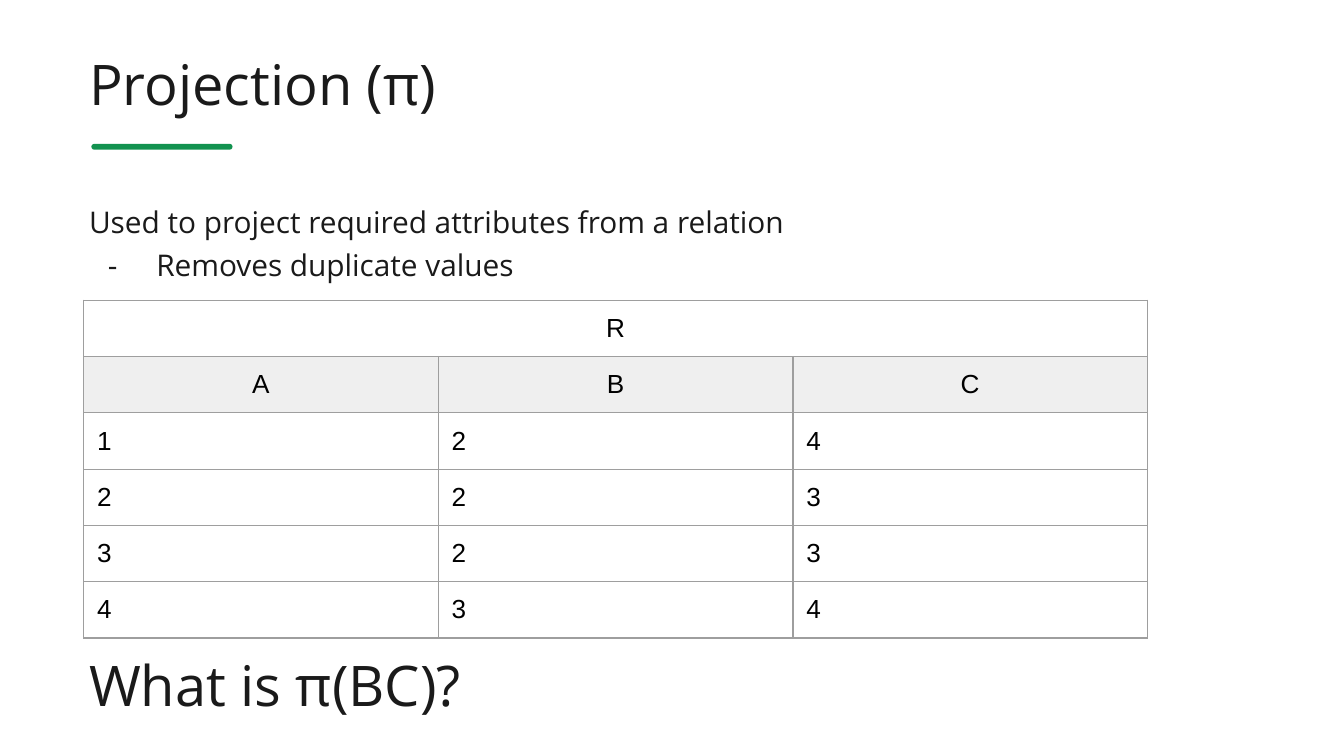
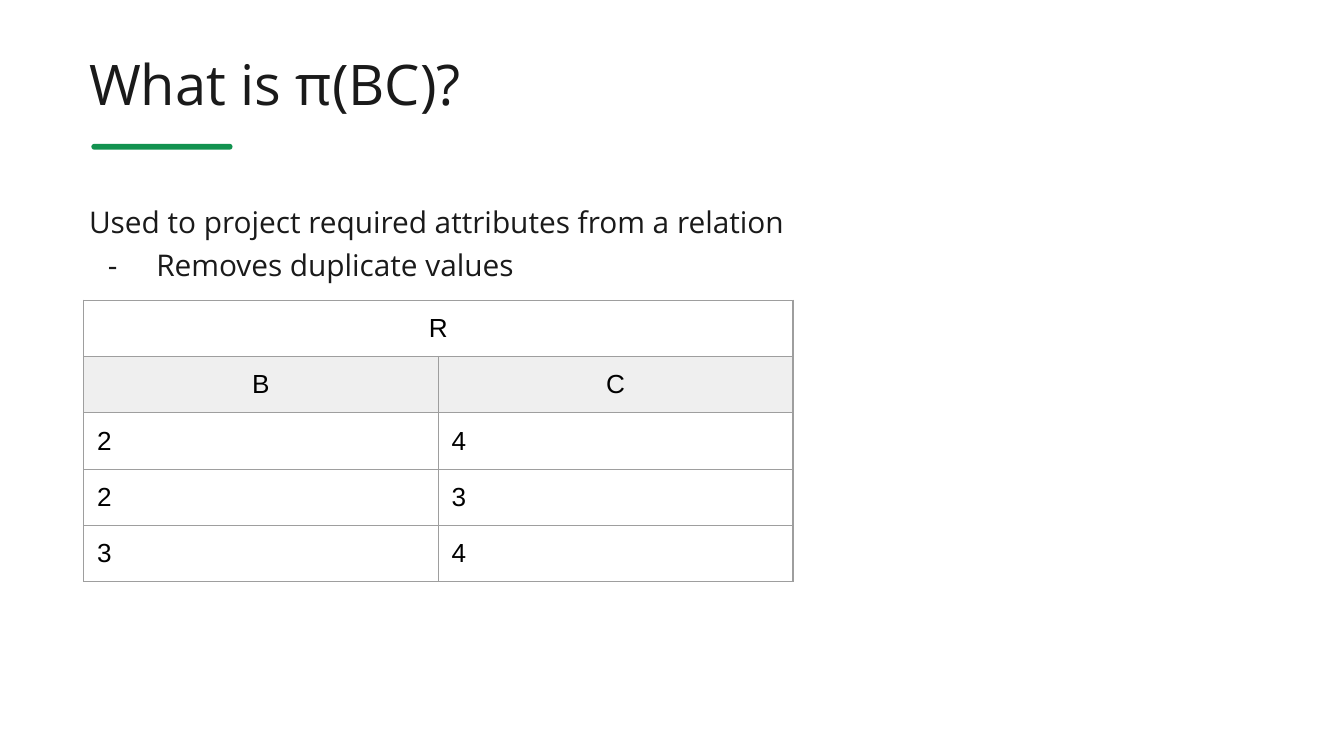
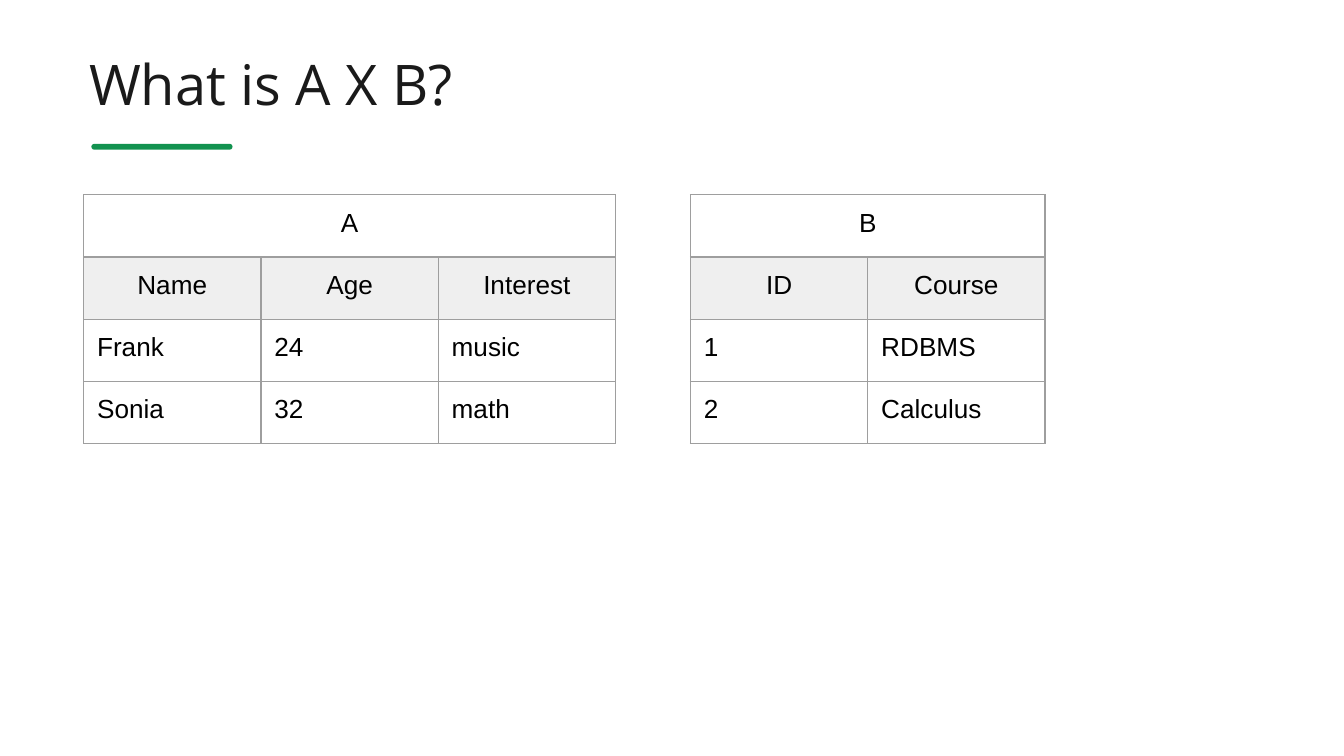
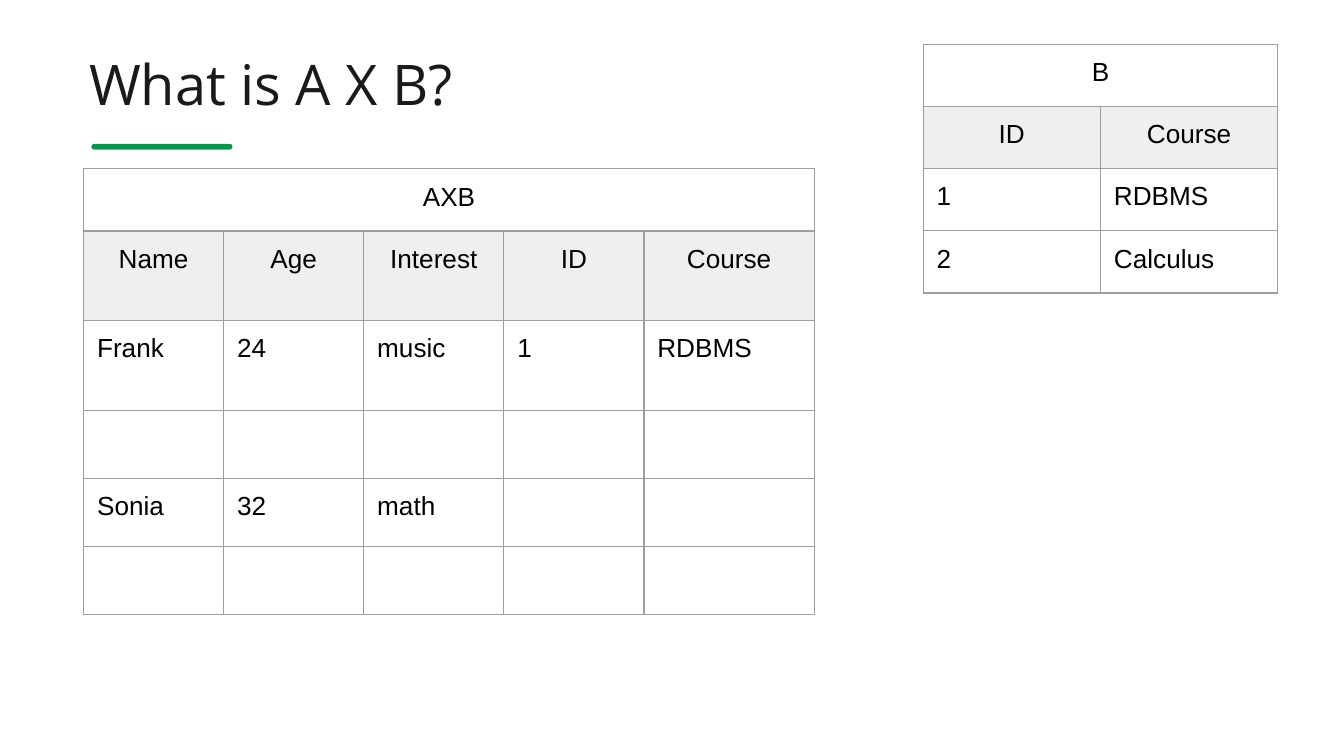
from lxml.etree import SubElement
from pptx import Presentation
from pptx.dml.color import RGBColor
from pptx.enum.shapes import MSO_SHAPE as SHAPE
from pptx.enum.text import MSO_ANCHOR as ANCHOR, MSO_AUTO_SIZE as AUTO, PP_ALIGN as ALIGN
from pptx.oxml.ns import qn
from pptx.util import Inches, Pt

# Colours and fonts
INK = RGBColor(0x1A, 0x1A, 0x1A)
BLACK = RGBColor(0, 0, 0)
GREEN = RGBColor(0x12, 0x92, 0x4F)
HEAD_GREY = RGBColor(0xEF, 0xEF, 0xEF)
RULE_GREY = RGBColor(0x9E, 0x9E, 0x9E)
WHITE = RGBColor(0xFF, 0xFF, 0xFF)
TEXT_FONT, TABLE_FONT = "Open Sans", "Arial"

# Grid: 160 columns by 90 rows on a 16:9 slide
COLS, ROWS = 160, 90
LEFT = 9.96
TITLE_TOP, BODY_TOP = 5.3, 23.2
TITLE_SIZE, BODY_SIZE, TABLE_SIZE = 30, 16, 14


def write(p, text, size=BODY_SIZE, font=TEXT_FONT, color=INK, align=ALIGN.LEFT,
          spacing=1.0, before=0, bullet=None):
    """Put one formatted run into a paragraph."""
    p.alignment, p.line_spacing, p.space_before = align, spacing, Pt(before)
    r = p.add_run()
    r.text = text
    r.font.name, r.font.size, r.font.color.rgb = font, Pt(size), color
    if bullet:
        pPr = p._p.get_or_add_pPr()
        pPr.set("marL", str(Inches(0.5)))
        pPr.set("indent", str(Inches(-0.36)))
        SubElement(pPr, qn("a:buFont"), typeface=font)
        SubElement(pPr, qn("a:buChar"), char=bullet)


class Deck:
    """The shared style and the slide being built."""

    def __init__(self):
        self.prs = Presentation()
        self.prs.slide_width, self.prs.slide_height = Inches(10), Inches(5.625)
        self.s = None

    def x(self, cols):
        return round(self.prs.slide_width * cols / COLS)

    def y(self, rows):
        return round(self.prs.slide_height * rows / ROWS)

    def box(self, left, top, width, height):
        return self.x(left), self.y(top), self.x(width), self.y(height)

    def frame(self, sp):
        """Prepare a text frame with the common insets."""
        tf = sp.text_frame
        tf.word_wrap, tf.auto_size = True, AUTO.NONE
        tf.vertical_anchor = ANCHOR.TOP
        tf.margin_left = tf.margin_right = Inches(0.04)
        tf.margin_top = tf.margin_bottom = Inches(0.04)
        return tf

    def slide(self, title):
        """Start a slide with its title and the green bar below it."""
        self.s = self.prs.slides.add_slide(self.prs.slide_layouts[5])
        self.s.background.fill.solid()
        self.s.background.fill.fore_color.rgb = WHITE
        sp = self.s.shapes.title
        sp.left, sp.top, sp.width, sp.height = self.box(LEFT, TITLE_TOP, 104, 9)
        write(self.frame(sp).paragraphs[0], title, size=TITLE_SIZE)

        bar = self.s.shapes.add_shape(SHAPE.ROUNDED_RECTANGLE, *self.box(10.88, 17.12, 16.8, 0.7))
        bar.adjustments[0] = 0.5
        bar.shadow.inherit = False
        bar.fill.solid()
        bar.fill.fore_color.rgb = GREEN
        bar.line.fill.background()

    def body(self, *paragraphs):
        """Add the body text; each paragraph is its text and its format."""
        tf = self.frame(self.s.shapes.add_textbox(*self.box(LEFT, BODY_TOP, 136.8, 51.8)))
        for i, (text, style) in enumerate(paragraphs):
            write(tf.add_paragraph() if i else tf.paragraphs[0], text, **style)

    def border(self, cell):
        tcPr = cell._tc.get_or_add_tcPr()
        for i, side in enumerate(("a:lnL", "a:lnR", "a:lnT", "a:lnB")):
            ln = tcPr.makeelement(qn(side), w=str(Pt(0.75)))
            fill = SubElement(ln, qn("a:solidFill"))
            SubElement(fill, qn("a:srgbClr"), val=str(RULE_GREY))
            tcPr.insert(i, ln)

    def table(self, name, relation, left, top, widths, heights):
        """Add a relation: merged name, grey attribute row, then the tuples."""
        rows = [[name] + [""] * (len(widths) - 1)] + relation
        t = self.s.shapes.add_table(len(rows), len(widths), self.x(left), self.y(top),
                                    self.x(sum(widths)), self.y(sum(heights))).table
        t.first_row = t.horz_banding = False
        for col, width in zip(t.columns, widths):
            col.width = self.x(width)
        for i, (values, height) in enumerate(zip(rows, heights)):
            t.rows[i].height = self.y(height)
            for cell, value in zip(t.rows[i].cells, values):
                cell.margin_left = cell.margin_right = Inches(0.1)
                cell.margin_top = cell.margin_bottom = Inches(0.1)
                if i == 1:
                    cell.fill.solid()
                    cell.fill.fore_color.rgb = HEAD_GREY
                else:
                    cell.fill.background()
                self.border(cell)
                if value:
                    write(cell.text_frame.paragraphs[0], value, size=TABLE_SIZE,
                          font=TABLE_FONT, color=BLACK,
                          align=ALIGN.CENTER if i < 2 else ALIGN.LEFT)
        t.cell(0, 0).merge(t.cell(0, len(widths) - 1))


# Relations: attributes first, then tuples
R = [["A", "B", "C"], ["1", "2", "4"], ["2", "2", "3"], ["3", "2", "3"], ["4", "3", "4"]]
R_BC = [["B", "C"], ["2", "4"], ["2", "3"], ["3", "4"]]
PEOPLE = [["Name", "Age", "Interest"], ["Frank", "24", "music"], ["Sonia", "32", "math"]]
COURSES = [["ID", "Course"], ["1", "RDBMS"], ["2", "Calculus"]]
PRODUCT = [PEOPLE[0] + COURSES[0], PEOPLE[1] + COURSES[1], [""] * 5,
           PEOPLE[2] + [""] * 2, [""] * 5]

# Column widths and row heights in grid units
WIDE, HALF = 42.22, 21.11
LOW, TALL = 6.7, 7.4
TABLE_TOP = 35.75

QUESTION = "What is π(BC)?"
PROJECTION = [
    ("Used to project required attributes from a relation", dict(spacing=1.1)),
    ("Removes duplicate values", dict(spacing=1.1, before=2, bullet="-")),
]

deck = Deck()

# Slide 1: projection and its question
deck.slide("Projection (π)")
deck.body(*PROJECTION, (QUESTION, dict(size=TITLE_SIZE, before=197)))
deck.table("R", R, LEFT, TABLE_TOP, [WIDE] * 3, [LOW] * 6)

# Slide 2: projected relation
deck.slide(QUESTION)
deck.body(*PROJECTION)
deck.table("R", R_BC, LEFT, TABLE_TOP, [WIDE] * 2, [LOW] * 5)

# Slide 3: the two relations
deck.slide("What is A X B?")
deck.table("A", PEOPLE, LEFT, BODY_TOP, [HALF] * 3, [TALL] * 4)
deck.table("B", COURSES, 82.2, BODY_TOP, [HALF] * 2, [TALL] * 4)

# Slide 4: the product being filled in
deck.slide("What is A X B?")
deck.table("AXB", PRODUCT, LEFT, 20.1, [16.68] * 4 + [20.3],
           [TALL] + [10.7] * 2 + [7.7] * 3)
deck.table("B", COURSES, 109.9, TITLE_TOP, [HALF] * 2, [TALL] * 4)

deck.prs.save("out.pptx")
